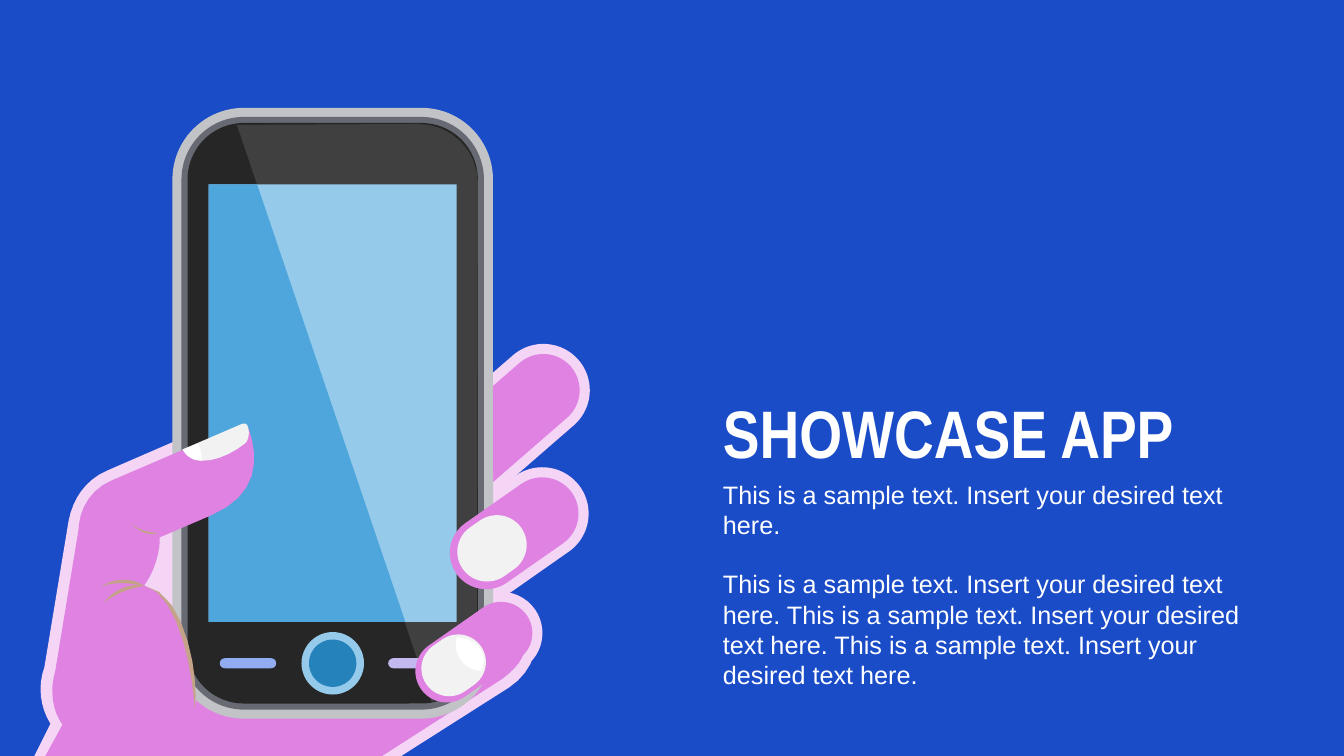
"""Build the "Showcase app" slide: a hand holding a phone beside a title and text."""
import pptx
import pptx.dml.color
import pptx.enum.shapes
import pptx.enum.text
import pptx.util

PX = 9144
STEPS = 8
SIZE = (1333, 750)
BLUE, WHITE, NAIL = "1A4CC8", "FFFFFF", "F2F2F2"
SKIN, RIM, CREASE, SKY = "DF82E2", "F4D5F5", "C4A389", "95CAEA"

TITLE = "SHOWCASE APP"
SAMPLE = "This is a sample text. Insert your desired text here."
BODY = [SAMPLE, " ".join([SAMPLE] * 3)]
TITLE_BOX = (707, 392, 548, 72)
BODY_BOX = (707, 470, 548, 222)

# Pills: centre x, centre y, width, height, turn.
INDEX = (408, 501, 419, 72, -41)
MIDDLE = (510, 529, 140, 72, -35)
RING = (470, 647, 128, 62, -35)
NAILS = [(488, 544, 71, 59, -35), (450, 660, 66, 55, -35)]
EDGE = 10
CASE = (330, 410, 318, 606)
ARC = 71
LAYERS = [("C1C3C7", 0), ("676A73", 9), ("262626", 15)]
SCREEN = (330, 400, 246, 434)
KEYS = [
    (SKY, (330, 658, 62, 62)),
    ("2582BB", (330, 658, 47, 47)),
    ("91ACF1", (246, 658, 56, 10)),
    ("C4B8F0", (413, 658, 56, 10)),
]

# Outlines: two numbers draw a line, six a curve.
BACK = [
    (34, 750), (50, 718), (40, 702, 37, 681, 44, 662), (68, 517),
    (72, 495, 85, 476, 106, 467), (251, 404), (528, 607),
    (538, 638, 530, 665, 505, 682), (398, 750)]
PALM = [
    (45, 750), (62, 719), (52, 705, 49, 685, 55, 665), (79, 519), (181, 521),
    (426, 645), (515, 630), (527, 647, 515, 660, 499, 673), (379, 750)]
WEB = [
    (193, 703), (196, 685, 192, 644, 180, 613), (180, 523), (141, 521),
    (148, 525, 135, 572, 127, 595)]
GLARE = [
    (235, 124), (415, 123), (447, 123, 474, 149, 474, 182), (473, 639),
    (473, 666, 454, 690, 428, 696)]
SHADE = [(207, 183), (255, 183), (402, 617), (207, 617)]
HAND = [
    (SKIN, [
        (80, 538), (73, 515, 86, 487, 110, 477), (238, 422),
        (242, 420, 245, 421, 247, 426), (257, 456, 256, 491, 210, 511), (89, 563)]),
    (NAIL, [
        (181, 446), (239, 421), (241, 420, 245, 419, 246, 424),
        (248, 430, 246, 438, 243, 440), (223, 456, 192, 466, 181, 446)]),
    (WHITE, [
        (181, 446), (196, 440), (199, 444, 200, 450, 200, 457),
        (192, 457, 186, 454, 181, 446)]),
    (CREASE, [(193, 703), (198, 679, 186, 588, 143, 581), (150, 620)]),
    (SKIN, [
        (193, 703), (192, 678, 180, 590, 143, 581), (157, 562, 161, 534, 157, 529),
        (135, 511), (107, 601), (126, 619, 154, 710, 193, 703)]),
    (CREASE, [(131, 520), (139, 526, 145, 528, 157, 529), (150, 531, 140, 530, 131, 520)]),
    (CREASE, [(100, 582), (114, 577, 124, 578, 143, 581), (134, 575, 117, 571, 100, 582)]),
    (CREASE, [(103, 598), (115, 589, 124, 585, 143, 581), (132, 579, 115, 582, 103, 598)]),
]
SHINE = [(453, 632), (480, 634, 484, 655, 477, 666), (462, 665, 448, 650, 453, 632)]


def rgb(code):
    """Turn a hex string into a colour."""
    return pptx.dml.color.RGBColor.from_string(code)


def paint(shape, code):
    """Give a shape a flat fill with no line or shadow."""
    shape.fill.solid()
    shape.fill.fore_color.rgb = rgb(code)
    shape.line.fill.background()
    shape.shadow.inherit = False


def trace(points):
    """Turn lines and Bezier curves into a list of points in EMU."""
    path = [points[0]]
    for part in points[1:]:
        if len(part) == 2:
            path.append(part)
            continue
        ends = [path[-1], part[:2], part[2:4], part[4:]]
        for step in range(1, STEPS + 1):
            t = step / STEPS
            mix = ((1 - t) ** 3, 3 * t * (1 - t) ** 2, 3 * t * t * (1 - t), t ** 3)
            path.append(tuple(sum(m * e[k] for m, e in zip(mix, ends)) for k in (0, 1)))
    return [(x * PX, y * PX) for x, y in path]


def draw(shapes, code, points):
    """Draw one closed outline."""
    path = trace(points)
    pen = shapes.build_freeform(*path[0], scale=1.0)
    pen.add_line_segments(path[1:], close=True)
    paint(pen.convert_to_shape(), code)


def pill(shapes, code, spot, grow=0, arc=None):
    """Draw a rounded box about its centre, grown on each side."""
    x, y, w, h, *turn = spot
    w, h = w + 2 * grow, h + 2 * grow
    kind = pptx.enum.shapes.MSO_SHAPE.ROUNDED_RECTANGLE
    box = [int(n * PX) for n in (x - w / 2, y - h / 2, w, h)]
    shape = shapes.add_shape(kind, *box)
    shape.adjustments[0] = 0.5 if arc is None else arc / min(w, h)
    shape.rotation = turn[0] if turn else 0
    paint(shape, code)


def phone(shapes):
    """Draw the phone."""
    for code, inset in LAYERS:
        pill(shapes, code, CASE, -inset, ARC - inset)
    draw(shapes, "404040", GLARE)
    pill(shapes, SKY, SCREEN, arc=0)
    draw(shapes, "4EA6DC", SHADE)
    for code, spot in KEYS:
        pill(shapes, code, spot)


def write(holder, box, lines, font, size, bold, anchor):
    """Place a placeholder and set its text."""
    holder.left, holder.top, holder.width, holder.height = (n * PX for n in box)
    frame = holder.text_frame
    frame.word_wrap = True
    frame.auto_size = pptx.enum.text.MSO_AUTO_SIZE.NONE
    frame.vertical_anchor = anchor
    frame.text = "\n".join(lines)
    for row, para in enumerate(frame.paragraphs):
        props = para._p.get_or_add_pPr()
        props.set("marL", "0")
        props.set("indent", "0")
        para.alignment = pptx.enum.text.PP_ALIGN.LEFT
        para.space_before = pptx.util.Pt(21 if row else 0)
        props.append(props.makeelement(pptx.oxml.ns.qn("a:buNone"), {}))
        for run in para.runs:
            run.font.name, run.font.size, run.font.bold = font, pptx.util.Pt(size), bold
            run.font.color.rgb = rgb(WHITE)


def main():
    """Build and save the slide."""
    deck = pptx.Presentation()
    deck.slide_width, deck.slide_height = (n * PX for n in SIZE)
    slide = deck.slides.add_slide(deck.slide_layouts[1])
    slide.background.fill.solid()
    slide.background.fill.fore_color.rgb = rgb(BLUE)
    shapes = slide.shapes
    draw(shapes, RIM, BACK)
    for spot in (INDEX, MIDDLE, RING):
        pill(shapes, RIM, spot, EDGE)
    draw(shapes, SKIN, PALM)
    pill(shapes, SKIN, INDEX)
    draw(shapes, RIM, WEB)
    phone(shapes)
    for code, points in HAND:
        draw(shapes, code, points)
    for spot, nail in zip((MIDDLE, RING), NAILS):
        pill(shapes, SKIN, spot)
        pill(shapes, NAIL, nail)
    draw(shapes, WHITE, SHINE)
    side = pptx.enum.text.MSO_ANCHOR
    write(shapes.title, TITLE_BOX, [TITLE], "Arial Narrow", 48, True, side.MIDDLE)
    write(slide.placeholders[1], BODY_BOX, BODY, "Arial", 18, False, side.TOP)
    deck.save("out.pptx")


if __name__ == "__main__":
    main()
